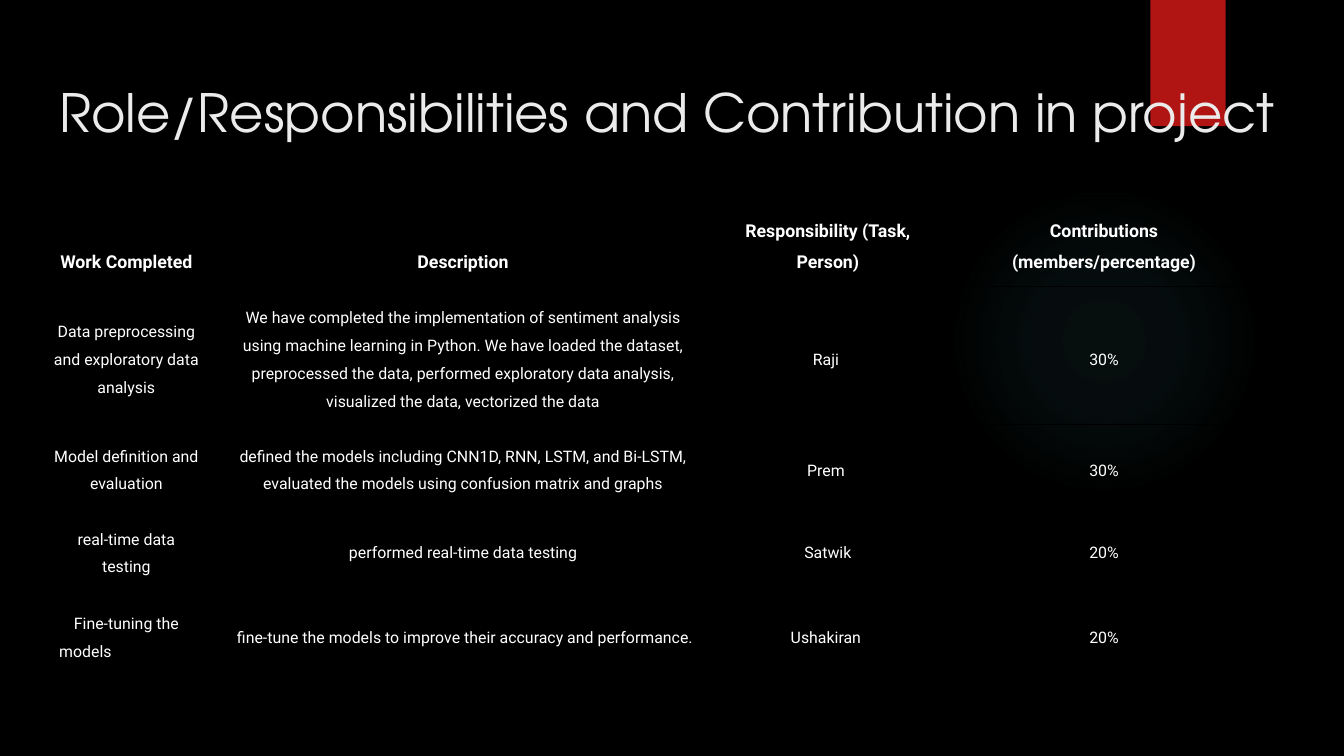
from pptx import Presentation
from pptx.dml.color import RGBColor
from pptx.enum.shapes import MSO_SHAPE
from pptx.enum.text import MSO_ANCHOR, PP_ALIGN
from pptx.oxml import parse_xml
from pptx.oxml.ns import nsdecls, qn
from pptx.util import Inches, Pt

CENTER, LEFT = PP_ALIGN.CENTER, PP_ALIGN.LEFT
TOP, MIDDLE, BOTTOM = MSO_ANCHOR.TOP, MSO_ANCHOR.MIDDLE, MSO_ANCHOR.BOTTOM
OVAL, RECTANGLE = MSO_SHAPE.OVAL, MSO_SHAPE.RECTANGLE

COLORS = {
    "background": "000000",
    "border": "000000",
    "glow": "50B9C1",
    "ribbon": "B01513",
    "title": "EBEBEB",
    "text": "FFFFFF",
}
TITLE = "Role/Responsibilities and Contribution in project"
ROWS = [
    ("Work Completed", "Description",
     "Responsibility (Task, Person)", "Contributions (members/percentage)"),
    ("Data preprocessing and exploratory data analysis",
     "We have completed the implementation of sentiment analysis using machine "
     "learning in Python. We have loaded the dataset, preprocessed the data, "
     "performed exploratory data analysis, visualized the data, vectorized the data",
     "Raji ", "30%"),
    ("Model definition and evaluation",
     "defined the models including CNN1D, RNN, LSTM, and Bi-LSTM, "
     "evaluated the models using confusion matrix and graphs",
     "Prem ", "30%"),
    ("real-time data testing", "performed real-time data testing", "Satwik", "20%"),
    ("Fine-tuning the models\t",
     " fine-tune the models to improve their accuracy and performance.",
     "Ushakiran ", "20%"),
]
COLUMN_WIDTHS = [1.3, 3.71, 1.72, 2.39]
ROW_HEIGHTS = [0.67, 1.03, 0.61, 0.62, 0.64]
GLOW_STOPS = [(0, 7), (36, 6), (69, 0)]  # position and opacity, percent
TIGHT_CELL = (2, 1)  # the one cell without margins


def color(name):
    return RGBColor.from_string(COLORS[name])


def add_plain_shape(page, kind, left, top, width, height):
    shape = page.shapes.add_shape(
        kind, Inches(left), Inches(top), Inches(width), Inches(height))
    shape.shadow.inherit = False
    shape.line.fill.background()
    return shape


def set_margins(target, inches):
    target.margin_left = target.margin_right = Inches(inches)
    target.margin_top = target.margin_bottom = Inches(inches)


def add_text(para, text, font, size, color_name, bold=False):
    span = para.add_run()
    span.text = text
    span.font.name = font
    span.font.size = Pt(size)
    span.font.bold = bold
    span.font.color.rgb = color(color_name)


def fill_with_glow(shape):
    stops = "".join(
        f'<a:gs pos="{position * 1000}"><a:srgbClr val="{COLORS["glow"]}">'
        f'<a:alpha val="{opacity * 1000}"/></a:srgbClr></a:gs>'
        for position, opacity in GLOW_STOPS)
    gradient = parse_xml(
        f'<a:gradFill {nsdecls("a")}><a:gsLst>{stops}</a:gsLst><a:path path="circle">'
        '<a:fillToRect l="50000" t="50000" r="50000" b="50000"/></a:path></a:gradFill>')
    shape.fill.background()
    properties = shape.element.spPr
    properties.replace(properties.find(qn("a:noFill")), gradient)


def add_borders(cell):
    properties = cell._tc.get_or_add_tcPr()
    for side in ("lnL", "lnR", "lnT", "lnB"):
        properties.append(parse_xml(
            f'<a:{side} {nsdecls("a")} w="{Pt(0.75)}"><a:solidFill>'
            f'<a:srgbClr val="{COLORS["border"]}"/></a:solidFill></a:{side}>'))


def add_work_table(page):
    frame = page.shapes.add_table(
        len(ROWS), len(COLUMN_WIDTHS), Inches(0.29), Inches(1.46),
        Inches(sum(COLUMN_WIDTHS)), Inches(sum(ROW_HEIGHTS)))
    table = frame.table
    table.first_row = table.horz_banding = False
    for column, width in zip(table.columns, COLUMN_WIDTHS):
        column.width = Inches(width)
    for row, height in zip(table.rows, ROW_HEIGHTS):
        row.height = Inches(height)
    for row_index, texts in enumerate(ROWS):
        header = row_index == 0
        for column_index, text in enumerate(texts):
            cell = table.cell(row_index, column_index)
            add_borders(cell)
            cell.fill.background()
            set_margins(cell, 0 if (row_index, column_index) == TIGHT_CELL else 0.1)
            cell.vertical_anchor = BOTTOM if header else MIDDLE
            para = cell.text_frame.paragraphs[0]
            para.alignment = CENTER
            para.line_spacing = 1.5
            para._p.get_or_add_pPr().set("defTabSz", str(Inches(1)))
            add_text(para, text, "Roboto", 9.5 if header else 8.5, "text", header)


def main():
    deck = Presentation()
    deck.slide_width = Inches(10)
    deck.slide_height = deck.slide_width * 9 // 16
    page = deck.slides.add_slide(deck.slide_layouts[5])
    page.background.fill.solid()
    page.background.fill.fore_color.rgb = color("background")

    # Soft glow and ribbon
    fill_with_glow(add_plain_shape(page, OVAL, 7.06, 1.38, 2.31, 2.31))
    ribbon = add_plain_shape(page, RECTANGLE, 8.56, 0, 0.56, 0.94)
    ribbon.fill.solid()
    ribbon.fill.fore_color.rgb = color("ribbon")

    # Work table
    add_work_table(page)

    # Title, in front of the ribbon
    title = page.shapes.title
    title.left, title.top = Inches(0.34), Inches(0.49)
    title.width, title.height = Inches(9.32), Inches(0.63)
    box = title.text_frame
    box.word_wrap = True
    box.vertical_anchor = TOP
    set_margins(box, 0.1)
    box.paragraphs[0].alignment = LEFT
    add_text(box.paragraphs[0], TITLE, "TeX Gyre Adventor", 28.3, "title")
    page.shapes._spTree.append(title.element)

    deck.save("out.pptx")


if __name__ == "__main__":
    main()
